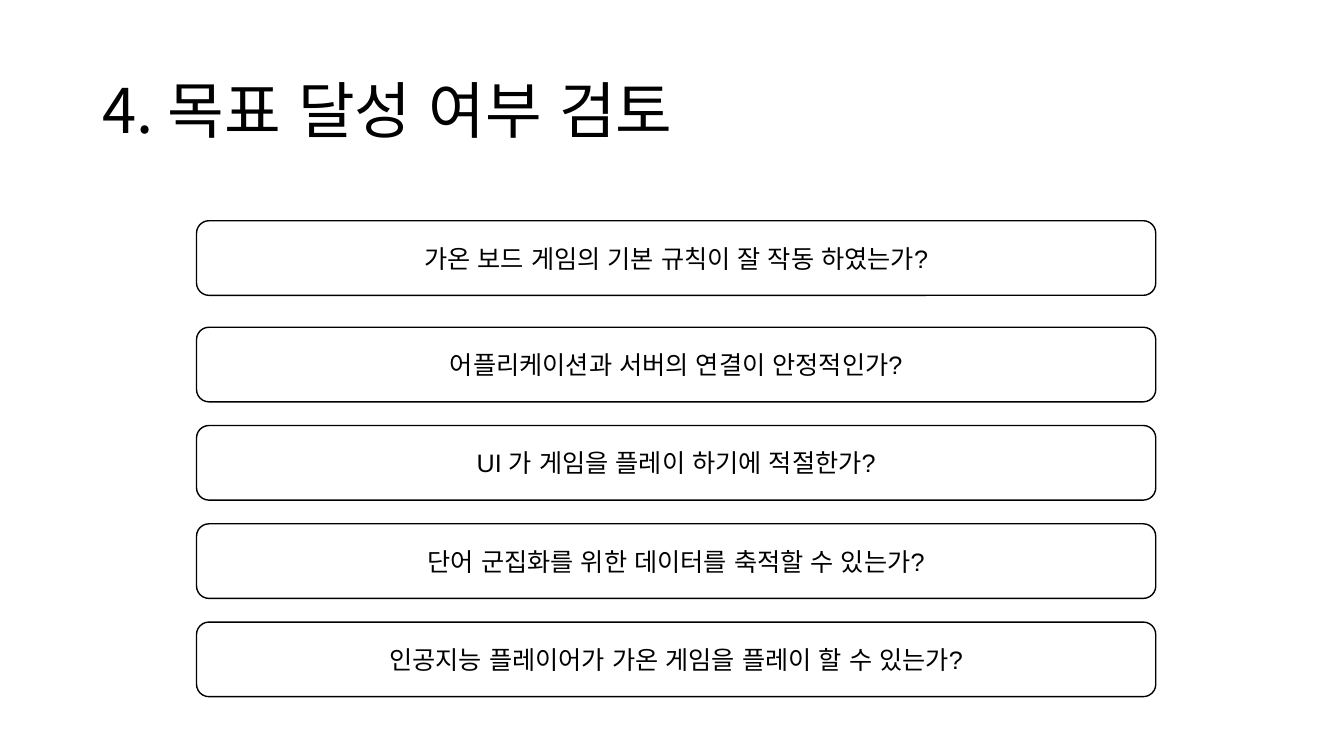
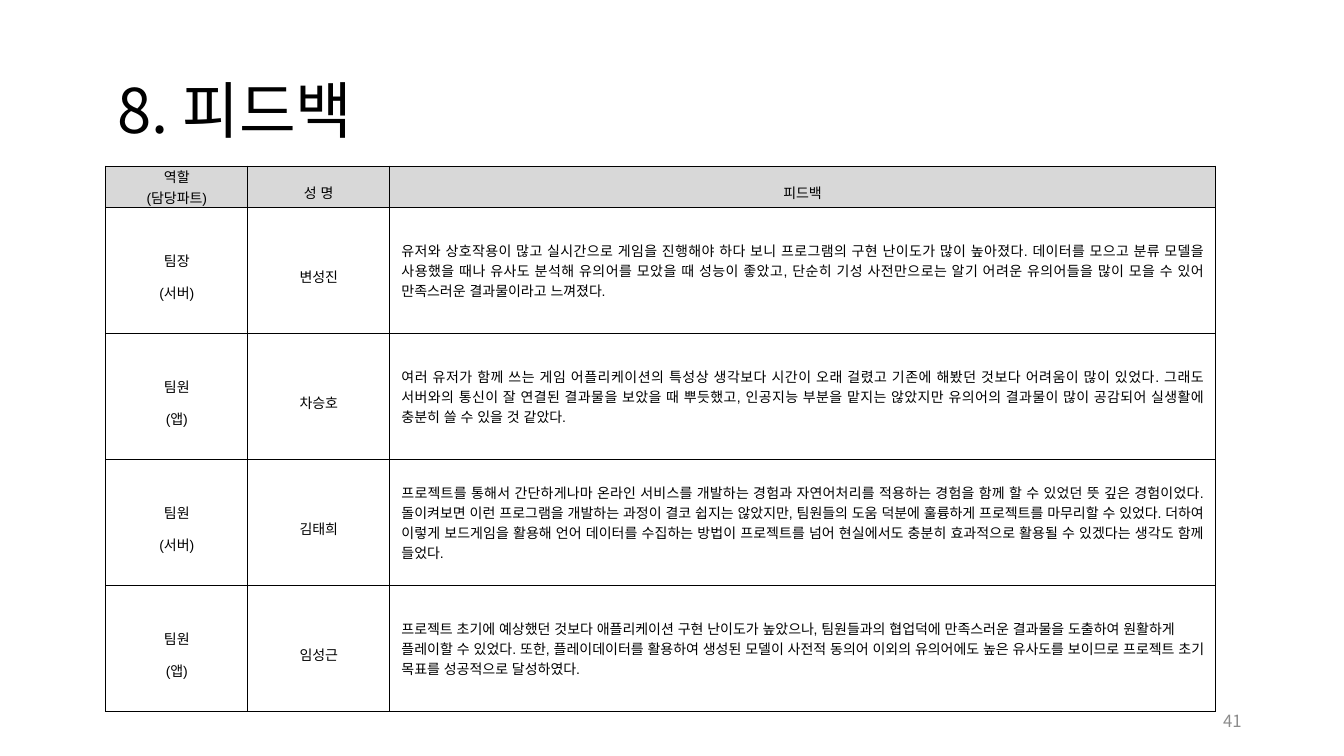
import dataclasses

import lxml.etree
import pptx
import pptx.dml.color
import pptx.enum.lang
import pptx.enum.shapes
import pptx.enum.text
import pptx.oxml.ns
import pptx.util

ALIGN = pptx.enum.text.PP_ALIGN
MIDDLE = pptx.enum.text.MSO_ANCHOR.MIDDLE
KOREAN = pptx.enum.lang.MSO_LANGUAGE_ID.KOREAN
qn = pptx.oxml.ns.qn


@dataclasses.dataclass(frozen=True)
class Theme:
    ink: str = "000000"
    paper: str = "FFFFFF"
    header: str = "D8D8D8"
    muted: str = "8C8C8C"
    title_font: str = "Noto Sans CJK KR"
    body_font: str = "Arial"
    title_size: int = 44
    card_size: int = 18
    number_size: int = 12
    table_size: int = 10
    line: int = 1
    wide: float = 1.6


THEME = Theme()
CELL = pptx.util.Inches(1) // 6  # the slide is a grid of 80 columns by 45 rows


def grid(*units):
    return [round(u * CELL) for u in units]


def rgb(value):
    return pptx.dml.color.RGBColor.from_string(value)


def write(tf, text, *, size, font=THEME.body_font, color=THEME.ink,
          align=ALIGN.LEFT, spacing=None):
    """Fill a text frame, one paragraph for each line of text."""
    tf.word_wrap = True
    for i, line in enumerate(text.split("\n")):
        p = tf.add_paragraph() if i else tf.paragraphs[0]
        p.alignment = align
        if spacing:
            p.line_spacing = spacing
        r = p.add_run()
        r.text = line
        r.font.size = pptx.util.Pt(size)
        r.font.name = font
        r.font.color.rgb = rgb(color)
        r.font.language_id = KOREAN
        ea = lxml.etree.SubElement(r.font._element, qn("a:ea"))
        ea.set("typeface", THEME.title_font)


def border(cell):
    tc_pr = cell._tc.get_or_add_tcPr()
    for side in ("lnL", "lnR", "lnT", "lnB"):
        ln = lxml.etree.SubElement(tc_pr, qn(f"a:{side}"),
                                   w=str(pptx.util.Pt(THEME.line)))
        fill = lxml.etree.SubElement(ln, qn("a:solidFill"))
        lxml.etree.SubElement(fill, qn("a:srgbClr"), val=THEME.ink)


class Deck:
    def __init__(self):
        self.prs = pptx.Presentation()
        self.prs.slide_width, self.prs.slide_height = grid(80, 45)
        self.s = None

    def slide(self, title, indent=0):
        self.s = self.prs.slides.add_slide(self.prs.slide_layouts[6])
        self.s.background.fill.solid()
        self.s.background.fill.fore_color.rgb = rgb(THEME.paper)
        self.text(title, 5.5 + indent, 2.4, 69 - indent, 8.7,
                  size=THEME.title_size, font=THEME.title_font, spacing=0.9)

    def text(self, text, x, y, w, h, **style):
        tf = self.s.shapes.add_textbox(*grid(x, y, w, h)).text_frame
        tf.vertical_anchor = MIDDLE
        write(tf, text, **style)

    def card(self, text, x, y, w, h):
        sp = self.s.shapes.add_shape(
            pptx.enum.shapes.MSO_SHAPE.ROUNDED_RECTANGLE, *grid(x, y, w, h))
        sp.shadow.inherit = False
        sp.fill.solid()
        sp.fill.fore_color.rgb = rgb(THEME.paper)
        sp.line.color.rgb = rgb(THEME.ink)
        sp.line.width = pptx.util.Pt(THEME.line)
        sp.text_frame.vertical_anchor = MIDDLE
        write(sp.text_frame, text, size=THEME.card_size, align=ALIGN.CENTER)

    def table(self, rows, x, y, widths, heights):
        """Draw a table with a shaded first row and prose in its last column."""
        table = self.s.shapes.add_table(
            len(rows), len(widths),
            *grid(x, y, sum(widths), sum(heights))).table
        table.first_row = table.horz_banding = False
        for column, width in zip(table.columns, grid(*widths)):
            column.width = width
        for row, height in zip(table.rows, grid(*heights)):
            row.height = height
        for i, row in enumerate(rows):
            for j, text in enumerate(row):
                prose = i > 0 and j == len(row) - 1
                self.cell(table.cell(i, j), text, header=i == 0, prose=prose,
                          spacing=None if prose or i == j == 0 else THEME.wide)

    def cell(self, cell, text, *, header, prose, spacing):
        border(cell)
        if header:
            cell.fill.solid()
            cell.fill.fore_color.rgb = rgb(THEME.header)
        else:
            cell.fill.background()
        cell.vertical_anchor = MIDDLE
        cell.margin_top = cell.margin_bottom = 0
        cell.margin_left = cell.margin_right = grid(0.7 if prose else 0)[0]
        write(cell.text_frame, text, size=THEME.table_size, spacing=spacing,
              align=ALIGN.JUSTIFY if prose else ALIGN.CENTER)

    def page_number(self, number):
        self.text(str(number), 56.5, 41.7, 18, 2.4, size=THEME.number_size,
                  font=THEME.title_font, color=THEME.muted, align=ALIGN.RIGHT)


QUESTIONS = [
    "가온 보드 게임의 기본 규칙이 잘 작동 하였는가?",
    "어플리케이션과 서버의 연결이 안정적인가?",
    "UI 가 게임을 플레이 하기에 적절한가?",
    "단어 군집화를 위한 데이터를 축적할 수 있는가?",
    "인공지능 플레이어가 가온 게임을 플레이 할 수 있는가?",
]

FEEDBACK = [
    ("역할\n(담당파트)", "성 명", "피드백"),
    ("팀장\n(서버)", "변성진",
     "유저와 상호작용이 많고 실시간으로 게임을 진행해야 하다 보니 프로그램의 구현 난이도가 "
     "많이 높아졌다. 데이터를 모으고 분류 모델을 사용했을 때나 유사도 분석해 유의어를 모았을 때 "
     "성능이 좋았고, 단순히 기성 사전만으로는 알기 어려운 유의어들을 많이 모을 수 있어 "
     "만족스러운 결과물이라고 느껴졌다."),
    ("팀원\n(앱)", "차승호",
     "여러 유저가 함께 쓰는 게임 어플리케이션의 특성상 생각보다 시간이 오래 걸렸고 기존에 "
     "해봤던 것보다 어려움이 많이 있었다. 그래도 서버와의 통신이 잘 연결된 결과물을 보았을 때 "
     "뿌듯했고, 인공지능 부분을 맡지는 않았지만 유의어의 결과물이 많이 공감되어 실생활에 "
     "충분히 쓸 수 있을 것 같았다."),
    ("팀원\n(서버)", "김태희",
     "프로젝트를 통해서 간단하게나마 온라인 서비스를 개발하는 경험과 자연어처리를 적용하는 "
     "경험을 함께 할 수 있었던 뜻 깊은 경험이었다. 돌이켜보면 이런 프로그램을 개발하는 과정이 "
     "결코 쉽지는 않았지만, 팀원들의 도움 덕분에 훌륭하게 프로젝트를 마무리할 수 있었다. "
     "더하여 이렇게 보드게임을 활용해 언어 데이터를 수집하는 방법이 프로젝트를 넘어 현실에서도 "
     "충분히 효과적으로 활용될 수 있겠다는 생각도 함께 들었다."),
    ("팀원\n(앱)", "임성근",
     "프로젝트 초기에 예상했던 것보다 애플리케이션 구현 난이도가 높았으나, 팀원들과의 협업덕에 "
     "만족스러운 결과물을 도출하여 원활하게\n"
     "플레이할 수 있었다. 또한, 플레이데이터를 활용하여 생성된 모델이 사전적 동의어 이외의 "
     "유의어에도 높은 유사도를 보이므로 프로젝트 초기 목표를 성공적으로 달성하였다."),
]


def main():
    deck = Deck()

    deck.slide("4. 목표 달성 여부 검토")
    first, second, pitch = 13.14, 19.48, 5.85
    tops = [first] + [second + i * pitch for i in range(len(QUESTIONS) - 1)]
    for question, top in zip(QUESTIONS, tops):
        deck.card(question, 11.7, top, 57.1, 4.44)

    deck.slide("8. 피드백", indent=0.9)
    deck.table(FEEDBACK, 6.3, 9.9, widths=[8.45, 8.45, 49.15],
               heights=[2.45] + [7.5] * (len(FEEDBACK) - 1))
    deck.page_number(41)

    deck.prs.save("out.pptx")


if __name__ == "__main__":
    main()
